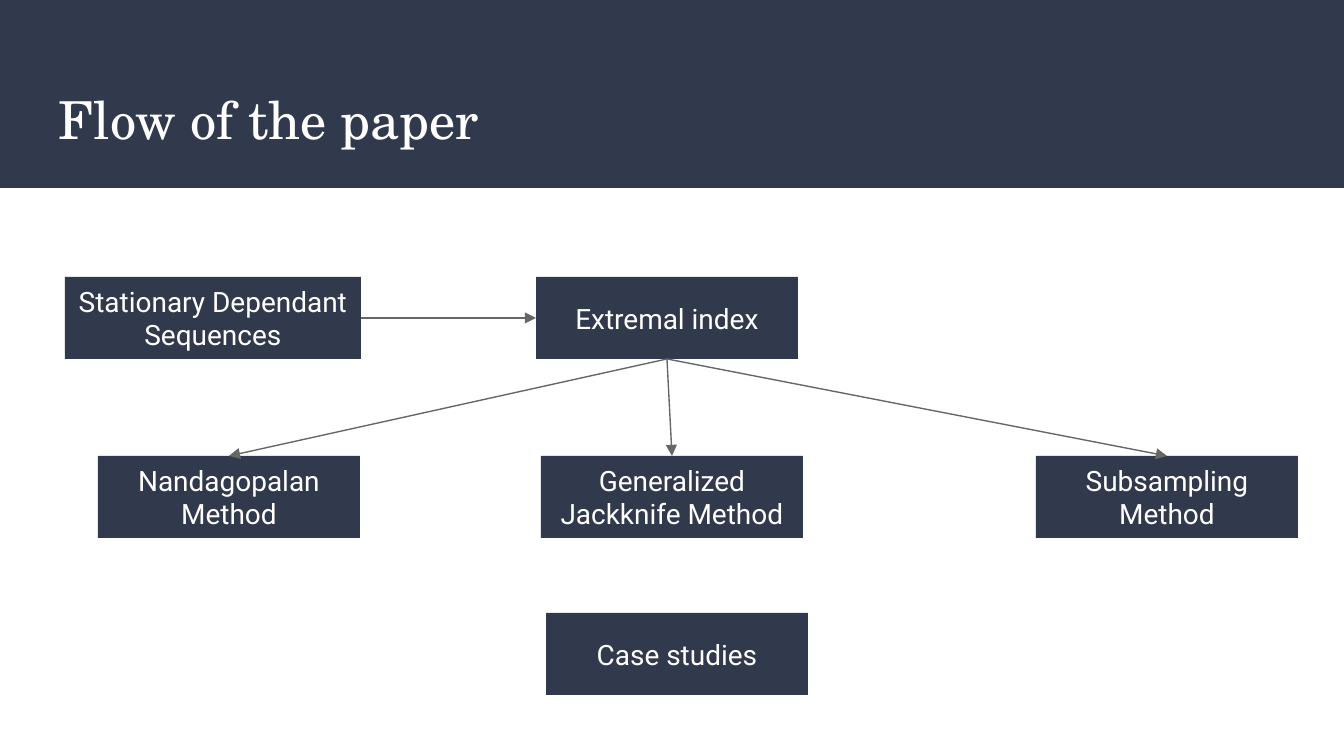
from pptx import Presentation
from pptx.dml.color import RGBColor
from pptx.enum.shapes import MSO_CONNECTOR, MSO_SHAPE
from pptx.enum.text import MSO_ANCHOR, MSO_AUTO_SIZE, PP_ALIGN
from pptx.oxml.ns import qn
from pptx.util import Emu, Pt
from lxml.etree import SubElement

NAVY = RGBColor(0x31, 0x39, 0x4D)
WHITE = RGBColor(0xFF, 0xFF, 0xFF)
GREY = RGBColor(0x66, 0x66, 0x66)
SLIDE_W, SLIDE_H = 1344, 756
EMU_PER_PX = 914400 / 134.4
TITLE_FONT = {"name": "TeX Gyre Schola", "size": Pt(28)}
NODE_FONT = {"name": "Roboto", "size": Pt(15)}
BOTTOM, TOP, LEFT, RIGHT = 2, 0, 1, 3


def px(length):
    """Turn a length in px into EMU."""
    return Emu(round(length * EMU_PER_PX))


def apply_format(target, values):
    """Set each attribute of the target from a dict."""
    for name, value in values.items():
        setattr(target, name, value)


def write_text(shape, text, font, align, anchor):
    """Write one formatted paragraph into a shape."""
    frame = shape.text_frame
    margins = {f"margin_{side}": px(13) for side in ("left", "top", "right", "bottom")}
    apply_format(frame, {**margins, "word_wrap": True, "vertical_anchor": anchor,
                         "auto_size": MSO_AUTO_SIZE.NONE})
    para = frame.paragraphs[0]
    para.alignment = align
    span = para.add_run()
    span.text = text
    apply_format(span.font, font)
    span.font.color.rgb = WHITE


def add_box(page, left, top, width, height):
    """Add a plain navy rectangle."""
    box = page.shapes.add_shape(MSO_SHAPE.RECTANGLE, px(left), px(top), px(width), px(height))
    box.shadow.inherit = False
    box.fill.solid()
    box.fill.fore_color.rgb = NAVY
    box.line.fill.background()
    return box


def add_arrow(page, start, start_site, end, end_site):
    """Join two boxes with a thin arrow."""
    arrow = page.shapes.add_connector(MSO_CONNECTOR.STRAIGHT, 0, 0, 0, 0)
    arrow.begin_connect(start, start_site)
    arrow.end_connect(end, end_site)
    arrow.line.color.rgb = GREY
    arrow.line.width = Pt(0.75)
    SubElement(arrow.line._get_or_add_ln(), qn("a:tailEnd"), type="triangle")
    SubElement(arrow._element.spPr, qn("a:effectLst"))


def add_header(page, left, top, width, height):
    """Place the title on a navy band behind it."""
    band = add_box(page, left, top, width, height)
    page.shapes._spTree.insert(2, band._element)
    title = page.shapes.title
    apply_format(title, {"left": px(left + 46), "top": px(top + 74),
                         "width": px(width - 92), "height": px(91)})
    write_text(title, "Flow of the paper", TITLE_FONT, PP_ALIGN.LEFT, MSO_ANCHOR.TOP)


def add_flow(page, left, top, height=82, width=262):
    """Draw the flow of topics and the arrows between them."""
    def node(text, x, y, node_width=width):
        box = add_box(page, left + x, top + y, node_width, height)
        write_text(box, text, NODE_FONT, PP_ALIGN.CENTER, MSO_ANCHOR.MIDDLE)
        return box

    sequences = node("Stationary Dependant Sequences", 0, 0, 296)
    index = node("Extremal index", 471, 0)
    methods = [node(f"{name} Method", x, 179) for name, x in
               (("Nandagopalan", 33), ("Generalized Jackknife", 476), ("Subsampling", 971))]
    node("Case studies", 481, 336)
    add_arrow(page, sequences, RIGHT, index, LEFT)
    for method in methods:
        add_arrow(page, index, BOTTOM, method, TOP)


def main():
    """Build and save the deck."""
    deck = Presentation()
    apply_format(deck, {"slide_width": px(SLIDE_W), "slide_height": px(SLIDE_H)})
    page = deck.slides.add_slide(deck.slide_layouts[5])
    add_header(page, 0, 0, SLIDE_W, 188)
    add_flow(page, 65, 277)
    deck.save("out.pptx")


if __name__ == "__main__":
    main()
